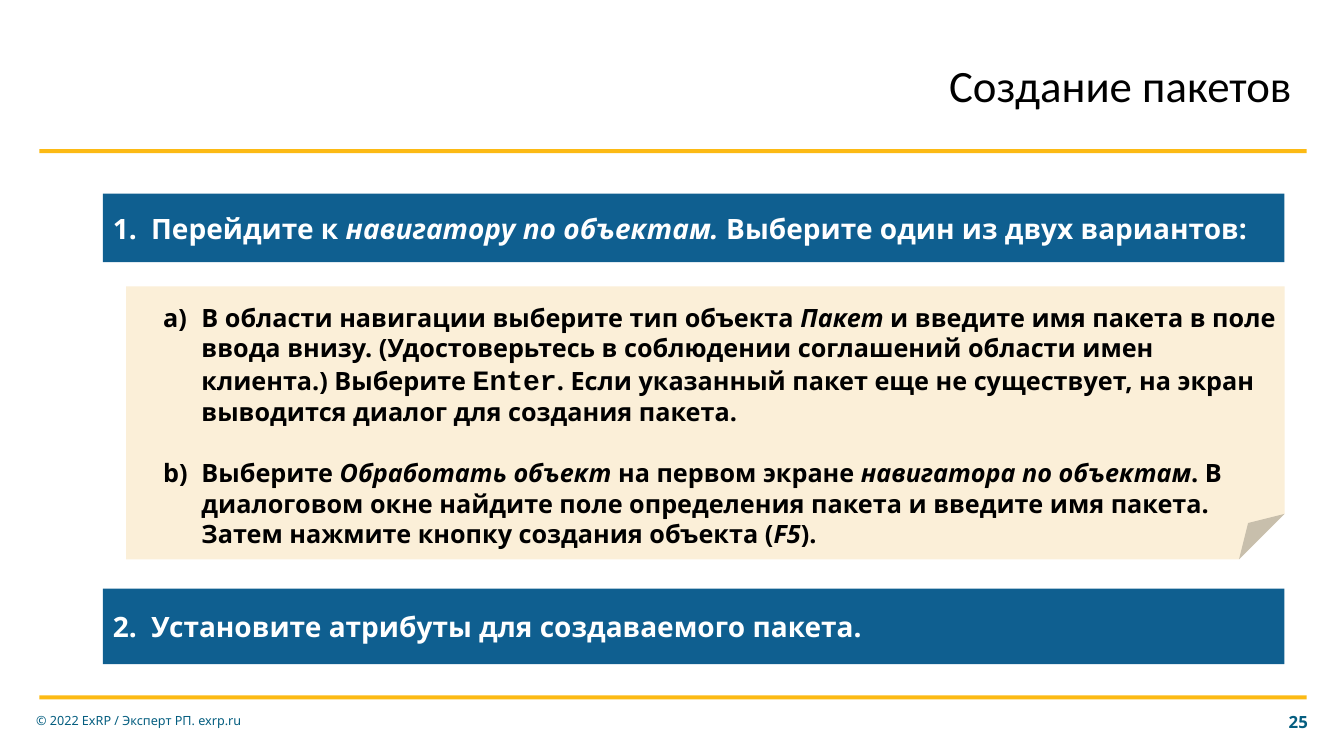
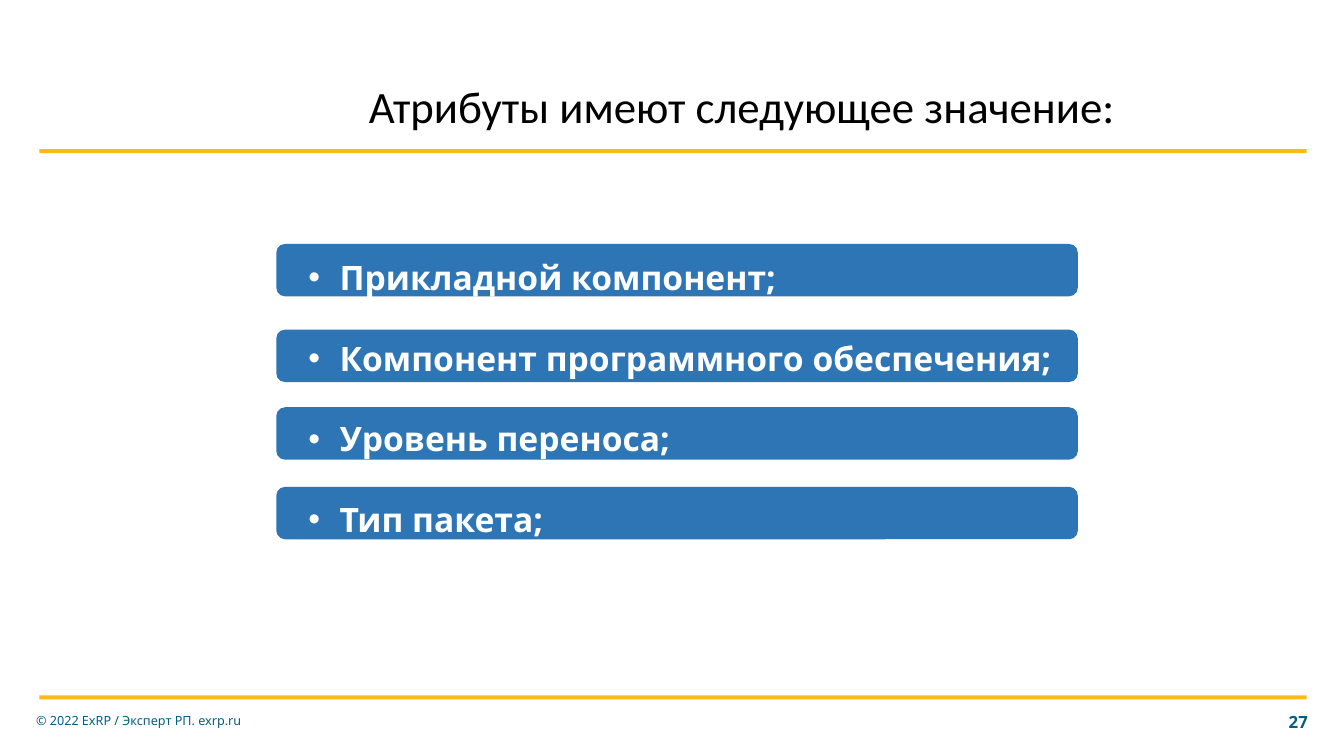
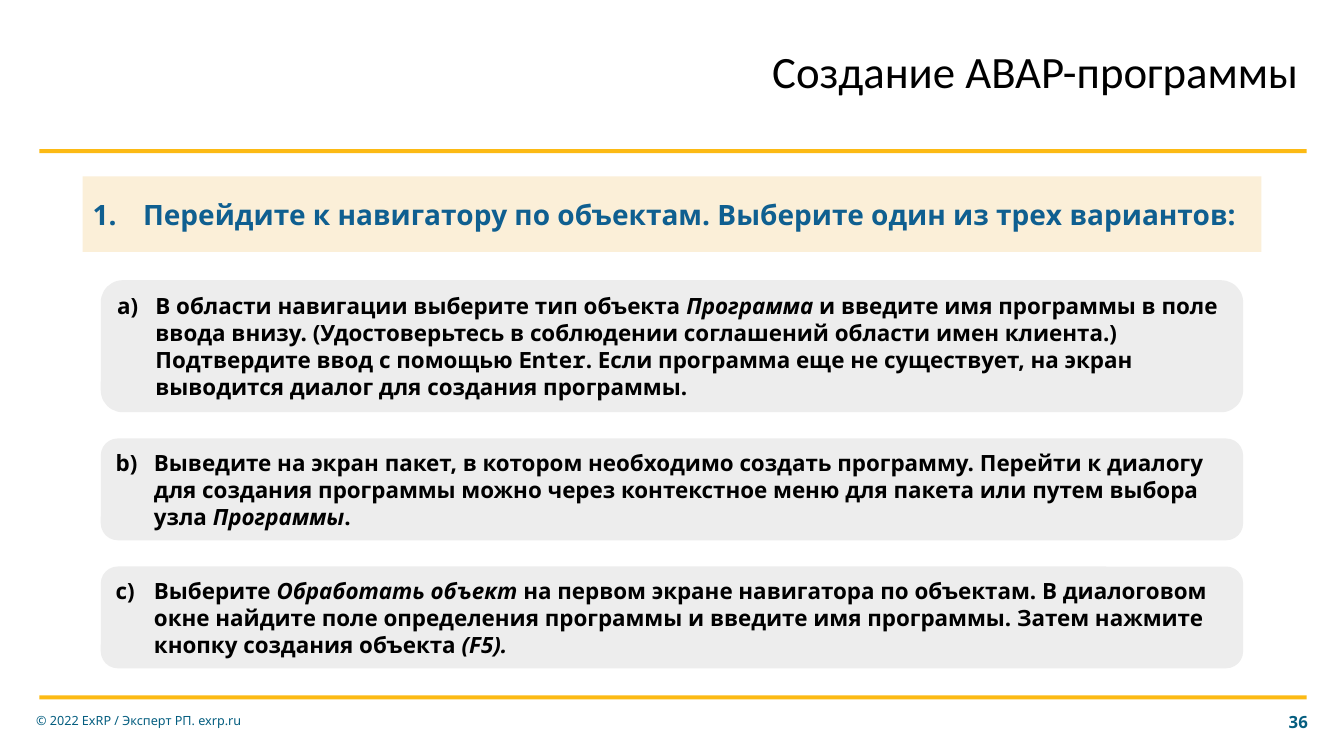
"""Build three training slides on creating packages and programs."""
from lxml.etree import SubElement
from pptx import Presentation
from pptx.dml.color import RGBColor
from pptx.enum.shapes import MSO_SHAPE
from pptx.enum.text import MSO_ANCHOR, MSO_AUTO_SIZE, PP_ALIGN
from pptx.oxml.ns import qn
from pptx.util import Inches, Pt


class Theme:
    font, title_font = "Noto Sans", "Calibri"
    gold, navy, blue = "FCBA14", "0F5F90", "2E75B6"
    cream, gray, teal = "FBEFD8", "EDEDED", "055E80"
    black, white = "000000", "FFFFFF"
    title, item, heading, note, option = 32, 24, 20, 18, 16
    number, footer = 12, 9


ITALIC = {"italic": True}
COURIER = {"name": "Courier New", "size": Pt(Theme.heading)}
MONO = {"name": "Noto Sans Mono"}

FOOTER = "© 2022 ExRP / Эксперт РП. exrp.ru"
RULE_TOPS = (1.48, 6.9)

PACKAGE_STEPS = [
    (1.92, 0.68, [("Перейдите к ", {}), ("навигатору по объектам.", ITALIC),
                  (" Выберите один из двух вариантов:", {})]),
    (5.84, 0.75, [("Установите атрибуты для создаваемого пакета.", {})]),
]
PACKAGE_OPTIONS = [
    [("В области навигации выберите тип объекта ", {}), ("Пакет", ITALIC),
     (" и введите имя пакета в поле ввода внизу. (Удостоверьтесь в соблюдении "
      "соглашений области имен клиента.) Выберите ", {}), ("Enter", COURIER),
     (". Если указанный пакет еще не существует, на экран выводится диалог "
      "для создания пакета.", {})],
    [("Выберите ", {}), ("Обработать объект ", ITALIC), ("на первом экране ", {}),
     ("навигатора по объектам", ITALIC),
     (". В диалоговом окне найдите поле определения пакета и введите имя пакета. "
      "Затем нажмите кнопку создания объекта (", {}), ("F5", ITALIC), (").", {})],
]
ATTRIBUTES = ["Прикладной компонент;", "Компонент программного обеспечения;",
              "Уровень переноса;", "Тип пакета;"]
ATTRIBUTE_TOPS = (2.42, 3.27, 4.04, 4.83)
PROGRAM_STEP = [("Перейдите к навигатору по объектам. Выберите один из трех вариантов:", {})]
PROGRAM_OPTIONS = [
    (1.31, [("В области навигации выберите тип объекта ", {}), ("Программа", ITALIC),
            (" и введите имя программы в поле ввода внизу. (Удостоверьтесь в соблюдении "
             "соглашений области имен клиента.) Подтвердите ввод с помощью ", {}),
            ("Enter", MONO),
            (". Если программа еще не существует, на экран выводится диалог "
             "для создания программы.", {})]),
    (1.01, [("Выведите на экран пакет, в котором необходимо создать программу. Перейти "
             "к диалогу для создания программы можно через контекстное меню для пакета "
             "или путем выбора узла ", {}), ("Программы", ITALIC), (".", {})]),
    (1.01, [("Выберите ", {}), ("Обработать объект", ITALIC),
            (" на первом экране навигатора по объектам. В диалоговом окне найдите поле "
             "определения программы и введите имя программы. Затем нажмите кнопку "
             "создания объекта ", {}), ("(F5).", ITALIC)]),
]


def apply(target, values):
    for name, value in values.items():
        setattr(target, name, value)


def add_panel(slide, kind, box, color):
    shape = slide.shapes.add_shape(kind, *map(Inches, box))
    shape.shadow.inherit = False
    shape.fill.solid()
    shape.fill.fore_color.rgb = RGBColor.from_string(color)
    shape.line.fill.background()
    return shape


def add_text_box(slide, box):
    return slide.shapes.add_textbox(*map(Inches, box))


def set_frame(shape, insets=(0.1, 0.05, 0.1, 0.05), **values):
    sides = ("margin_left", "margin_top", "margin_right", "margin_bottom")
    apply(shape.text_frame, {"word_wrap": True, "vertical_anchor": MSO_ANCHOR.MIDDLE,
                             **dict(zip(sides, map(Inches, insets))), **values})


def set_bullet(paragraph, margin, hanging, numbering=None, start=1):
    properties = paragraph._p.get_or_add_pPr()
    properties.set("marL", str(Inches(margin)))
    properties.set("indent", str(-Inches(hanging)))
    if numbering:
        SubElement(properties, qn("a:buAutoNum"), type=numbering, startAt=str(start))
    else:
        SubElement(properties, qn("a:buFont"), typeface="Arial")
        SubElement(properties, qn("a:buChar"), char="•")


def write(shape, paragraphs, size, color, bold=True, name=Theme.font, bullet=None,
          start=1, **layout):
    frame = shape.text_frame
    for index, runs in enumerate(paragraphs):
        paragraph = frame.add_paragraph() if index else frame.paragraphs[0]
        if bullet:
            set_bullet(paragraph, *bullet, start=start + index)
        apply(paragraph, {"alignment": PP_ALIGN.LEFT, **layout})
        if index == 0:
            paragraph.space_before = Pt(0)
        for text, style in runs:
            run = paragraph.add_run()
            run.text = text
            apply(run.font, {"name": name, "size": Pt(size), "bold": bold, **style})
            run.font.color.rgb = RGBColor.from_string(color)


def add_base_slide(presentation, title, title_box, number):
    slide = presentation.slides.add_slide(presentation.slide_layouts[6])
    for top in RULE_TOPS:
        add_panel(slide, MSO_SHAPE.RECTANGLE, (0.39, top, 12.57, 0.04), Theme.gold)
    labels = [
        (title, title_box, (0, 0, 0.1, 0.05), Theme.title, Theme.black,
         {"bold": False, "name": Theme.title_font, "alignment": PP_ALIGN.RIGHT,
          "line_spacing": 0.9}),
        (str(number), (12.42, 6.96, 0.65, 0.4), (0.1, 0.05, 0.1, 0.05), Theme.number,
         Theme.teal, {"alignment": PP_ALIGN.RIGHT}),
        (FOOTER, (0.26, 6.95, 2.85, 0.4), (0.1, 0.05, 0.1, 0.05), Theme.footer,
         Theme.teal, {"bold": False}),
    ]
    for text, box, insets, size, color, values in labels:
        label = add_text_box(slide, box)
        set_frame(label, insets)
        write(label, [[(text, {})]], size, color, **values)
    return slide


def add_heading(slide, box, fill, color, runs, indent, start=1):
    band = add_panel(slide, MSO_SHAPE.RECTANGLE, box, fill)
    set_frame(band, (0.1, 0.05, 0, 0.05))
    write(band, [runs], Theme.heading, color, start=start,
          bullet=(indent, indent, "arabicPeriod"))


def build_packages(presentation):
    slide = add_base_slide(presentation, "Создание пакетов", (6.24, 0.62, 6.67, 0.55), 25)
    for start, (top, height, runs) in enumerate(PACKAGE_STEPS, 1):
        add_heading(slide, (1.02, top, 11.72, height), Theme.navy, Theme.white,
                    runs, 0.38, start)
    add_panel(slide, MSO_SHAPE.FOLDED_CORNER, (1.25, 2.84, 11.49, 2.71), Theme.cream)
    options = add_text_box(slide, (1.25, 2.95, 11.49, 2.54))
    set_frame(options, (0.1, 0.05, 0, 0.05))
    write(options, PACKAGE_OPTIONS, Theme.note, Theme.black,
          bullet=(0.65, 0.38, "alphaLcParenR"), space_before=Pt(22))


def build_attributes(presentation):
    slide = add_base_slide(presentation, "Атрибуты имеют следующее значение:",
                           (2.27, 0.83, 8.89, 0.55), 27)
    for top in ATTRIBUTE_TOPS:
        add_panel(slide, MSO_SHAPE.ROUNDED_RECTANGLE, (2.74, top, 7.95, 0.52), Theme.blue)
    items = add_text_box(slide, (2.96, 2.14, 9.32, 3.22))
    set_frame(items, (0.1, 0.05, 0, 0.05), auto_size=MSO_AUTO_SIZE.SHAPE_TO_FIT_TEXT)
    write(items, [[(text, {})] for text in ATTRIBUTES], Theme.item, Theme.white,
          bullet=(0.31, 0.31), line_spacing=2.0)


def build_programs(presentation):
    slide = add_base_slide(presentation, "Создание ABAP-программы",
                           (4.03, 0.48, 8.95, 0.55), 36)
    add_heading(slide, (0.82, 1.75, 11.69, 0.75), Theme.cream, Theme.navy,
                PROGRAM_STEP, 0.5)
    top, gap = 2.78, 0.26
    for start, (height, runs) in enumerate(PROGRAM_OPTIONS, 1):
        card = add_panel(slide, MSO_SHAPE.ROUNDED_RECTANGLE, (1, top, 11.33, height),
                         Theme.gray)
        set_frame(card)
        write(card, [runs], Theme.option, Theme.black, start=start,
              bullet=(0.38, 0.38, "alphaLcParenR"))
        top += height + gap


def main():
    presentation = Presentation()
    apply(presentation, {"slide_width": Inches(13.33), "slide_height": Inches(7.5)})
    for build in (build_packages, build_attributes, build_programs):
        build(presentation)
    presentation.save("out.pptx")


if __name__ == "__main__":
    main()
